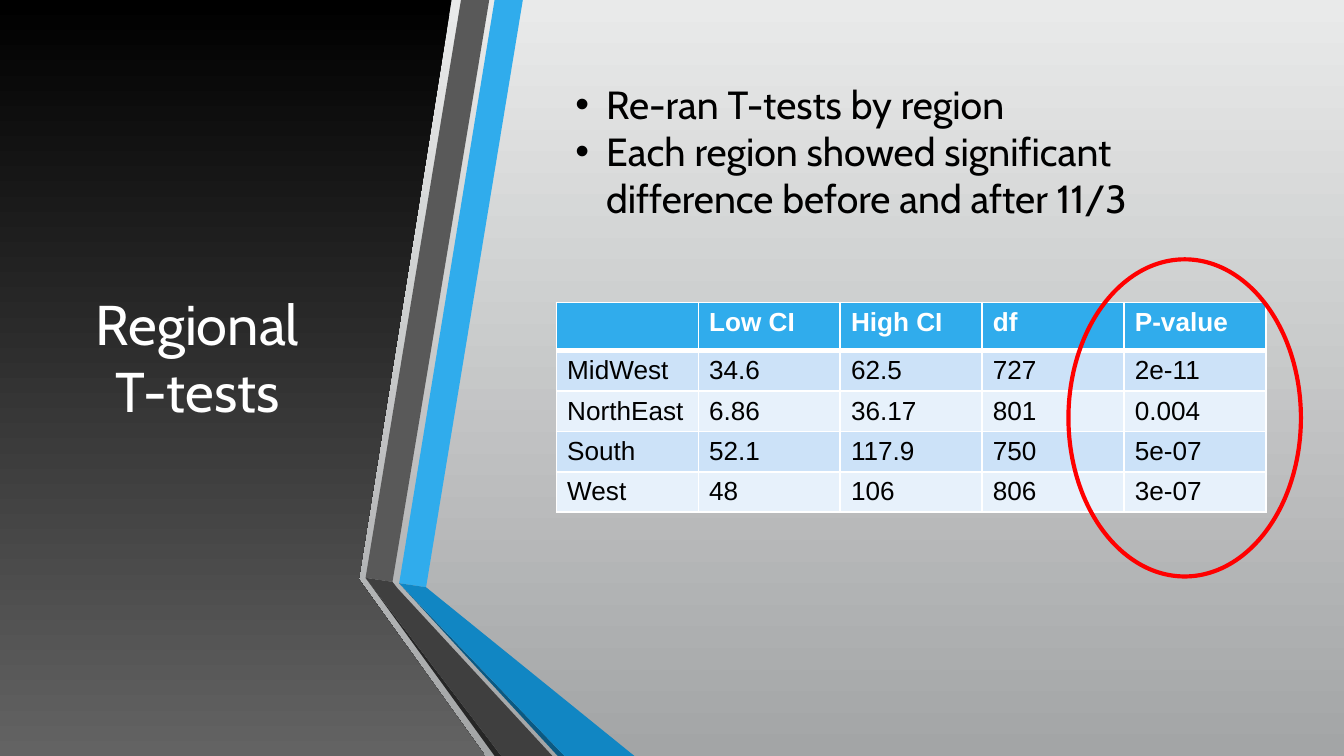
from lxml.etree import SubElement
from pptx import Presentation
from pptx.dml.color import RGBColor
from pptx.enum.shapes import MSO_SHAPE
from pptx.enum.text import MSO_ANCHOR, MSO_AUTO_SIZE, PP_ALIGN
from pptx.oxml.ns import qn
from pptx.util import Inches, Pt

THEME = {
    "title_font": "Cabin", "table_font": "Arial",
    "title_size": 30, "list_size": 21, "table_size": 14,
    "white": "FFFFFF", "black": "000000", "highlight": "FF0000",
    "header": "30ACEC", "bands": ("CCE2F8", "E7F1FB"),
    "backdrop": ("E9EAEA", "A3A5A6"), "panel": ("000000", "636363"),
}

TITLE = "Regional T-tests"
FINDINGS = [
    "Re-ran T-tests by region",
    "Each region showed significant difference before and after 11/3",
]
RESULTS = [
    ("", "Low CI", "High CI", "df", "P-value"),
    ("MidWest", "34.6", "62.5", "727", "2e-11"),
    ("NorthEast", "6.86", "36.17", "801", "0.004"),
    ("South", "52.1", "117.9", "750", "5e-07"),
    ("West", "48", "106", "806", "3e-07"),
]

SLIDE_W = 10
SLIDE_H = SLIDE_W * 9 / 16
TITLE_BOX = (0.44, 0.56, 2.06, 4.19)
LIST_BOX = (4.2, 0.56, 5.06, 1.14)
TABLE_LEFT, TABLE_TOP, TABLE_W = 4.14, 2.25, 5.28
HEADER_H, ROW_H = 0.35, 0.3
P_VALUE_RING = (7.95, 1.93, 1.73, 2.36)

PANEL = [(0, 0), (3.36, 0), (2.67, 4.31), (3.61, SLIDE_H), (0, SLIDE_H)]
RIBBONS = [
    ("30ACEC", [(2.97, 4.34), (3.17, 4.37), (3.89, 0), (3.68, 0)]),
    ("595959", [(3.64, 0), (3.43, 0), (2.72, 4.3), (2.92, 4.33)]),
    ("262626", [(2.72, 4.3), (3.68, SLIDE_H), (3.73, SLIDE_H)]),
    ("0B5982", [(2.97, 4.34), (4.15, SLIDE_H), (4.2, SLIDE_H)]),
    ("1186C3", [(2.97, 4.34), (4.2, SLIDE_H), (4.72, SLIDE_H), (3.17, 4.37)]),
    ("3F3F3F", [(2.72, 4.3), (3.73, SLIDE_H), (4.11, SLIDE_H), (2.96, 4.38), (2.92, 4.33)]),
]


def inches(values):
    return [Inches(value) for value in values]


def fill_solid(fill, color):
    fill.solid()
    fill.fore_color.rgb = RGBColor.from_string(color)


def fill_downward(fill, colors):
    """Fill with a gradient from the first colour at the top to the second."""
    fill.gradient()
    fill.gradient_angle = 270
    for stop, position, color in zip(fill.gradient_stops, (0, 1), colors):
        stop.position = position
        stop.color.rgb = RGBColor.from_string(color)


def add_bullet(paragraph, color):
    properties = paragraph._p.get_or_add_pPr()
    properties.set("marL", str(Inches(0.24)))
    properties.set("indent", str(Inches(-0.23)))
    bullet_color = SubElement(properties, qn("a:buClr"))
    SubElement(bullet_color, qn("a:srgbClr"), val=color)
    SubElement(properties, qn("a:buFont"), typeface="Arial")
    SubElement(properties, qn("a:buChar"), char="•")


def write(frame, lines, *, font, size, color, bold=False,
          align=PP_ALIGN.LEFT, bullets=False):
    for index, line in enumerate(lines):
        paragraph = frame.add_paragraph() if index else frame.paragraphs[0]
        if bullets:
            add_bullet(paragraph, color)
        paragraph.alignment = align
        paragraph.space_before = Pt(0)
        run = paragraph.add_run()
        run.text = line
        run.font.name = font
        run.font.size = Pt(size)
        run.font.bold = bold
        run.font.color.rgb = RGBColor.from_string(color)


def place(placeholder, box, lines, anchor, **style):
    placeholder.left, placeholder.top, placeholder.width, placeholder.height = inches(box)
    frame = placeholder.text_frame
    frame.word_wrap = True
    frame.auto_size = MSO_AUTO_SIZE.NONE
    frame.vertical_anchor = anchor
    frame.margin_left = frame.margin_right = Inches(0.07)
    frame.margin_top = frame.margin_bottom = Inches(0.04)
    write(frame, lines, font=THEME["title_font"], **style)


def add_outline(slide, points):
    start, *rest = [inches(point) for point in points]
    builder = slide.shapes.build_freeform(*start)
    builder.add_line_segments(rest, close=True)
    outline = builder.convert_to_shape()
    outline.shadow.inherit = False
    outline.line.fill.background()
    return outline


def add_borders(cell, top, bottom):
    properties = cell._tc.get_or_add_tcPr()
    for side, width in (("L", 1), ("R", 1), ("T", top), ("B", bottom)):
        border = SubElement(properties, qn(f"a:ln{side}"), w=str(Pt(width)))
        paint = SubElement(border, qn("a:solidFill"))
        SubElement(paint, qn("a:srgbClr"), val=THEME["white"])


def add_results(slide):
    row_count, column_count = len(RESULTS), len(RESULTS[0])
    heights = [HEADER_H] + [ROW_H] * (row_count - 1)
    table = slide.shapes.add_table(
        row_count, column_count,
        *inches((TABLE_LEFT, TABLE_TOP, TABLE_W, sum(heights)))).table
    for r, values in enumerate(RESULTS):
        table.rows[r].height = Inches(heights[r])
        is_header = r == 0
        background = THEME["header"] if is_header else THEME["bands"][(r - 1) % 2]
        for c, value in enumerate(values):
            cell = table.cell(r, c)
            cell.margin_left = cell.margin_right = Inches(0.08)
            cell.margin_top = cell.margin_bottom = Inches(0.04)
            add_borders(cell, top=3 if r == 1 else 1, bottom=3 if is_header else 1)
            fill_solid(cell.fill, background)
            write(cell.text_frame, [value], font=THEME["table_font"],
                  size=THEME["table_size"], bold=is_header,
                  color=THEME["white"] if is_header else THEME["black"])


def add_ring(slide):
    ring = slide.shapes.add_shape(MSO_SHAPE.OVAL, *inches(P_VALUE_RING))
    ring.shadow.inherit = False
    ring.fill.background()
    ring.line.color.rgb = RGBColor.from_string(THEME["highlight"])
    ring.line.width = Pt(2.25)


def main():
    deck = Presentation()
    deck.slide_width, deck.slide_height = inches((SLIDE_W, SLIDE_H))
    slide = deck.slides.add_slide(deck.slide_layouts[1])
    title, findings = slide.placeholders
    fill_downward(slide.background.fill, THEME["backdrop"])

    panel = add_outline(slide, PANEL)
    fill_downward(panel.fill, THEME["panel"])
    for color, points in RIBBONS:
        fill_solid(add_outline(slide, points).fill, color)

    # The title sits on the panel, so it goes in front of it.
    panel._element.addnext(title._element)
    place(title, TITLE_BOX, [TITLE], MSO_ANCHOR.MIDDLE, size=THEME["title_size"],
          color=THEME["white"], align=PP_ALIGN.CENTER)
    add_results(slide)
    add_ring(slide)
    place(findings, LIST_BOX, FINDINGS, MSO_ANCHOR.TOP, size=THEME["list_size"],
          color=THEME["black"], bullets=True)
    deck.save("out.pptx")


if __name__ == "__main__":
    main()
